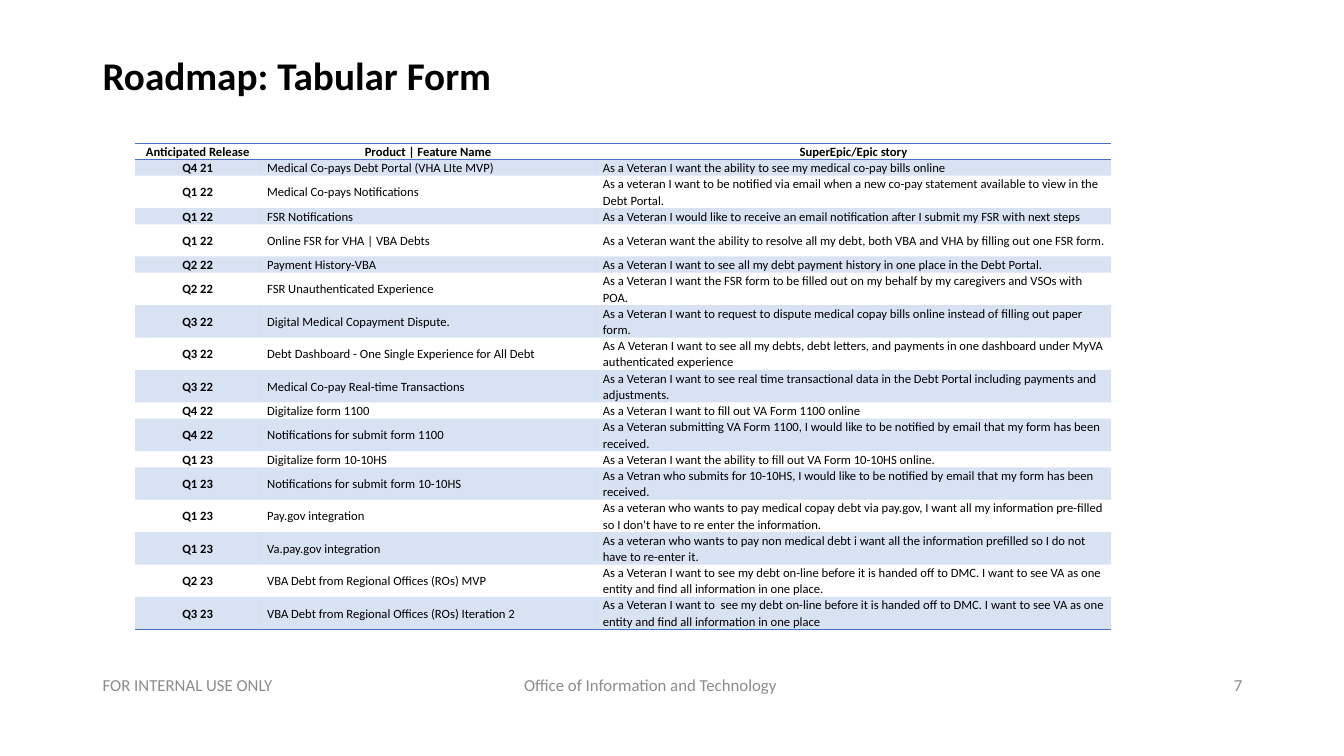
from lxml.etree import SubElement, Element
from pptx import Presentation
from pptx.dml.color import RGBColor
from pptx.enum.text import MSO_ANCHOR, PP_ALIGN
from pptx.oxml.ns import qn
from pptx.util import Inches, Pt

TITLE = "Roadmap: Tabular Form"
FOOTER = "FOR INTERNAL USE ONLY\tOffice of Information and Technology"
PAGE = "7"
HEADINGS = ("Anticipated Release", "Product | Feature Name", "SuperEpic/Epic story")
RELEASES = [
    ("Q4 21", "Medical Co-pays Debt Portal (VHA LIte MVP)",
     "As a Veteran I want the ability to see my medical co-pay bills online"),
    ("Q1 22", "Medical Co-pays Notifications",
     "As a veteran I want to be notified via email when a new co-pay statement available to view in the Debt Portal."),
    ("Q1 22", "FSR Notifications",
     "As a Veteran I would like to receive an email notification after I submit my FSR with next steps"),
    ("Q1 22", "Online FSR for VHA | VBA Debts",
     "As a Veteran want the ability to resolve all my debt, both VBA and VHA by filling out one FSR form."),
    ("Q2 22", "Payment History-VBA",
     "As a Veteran I want to see all my debt payment history in one place in the Debt Portal."),
    ("Q2 22", "FSR Unauthenticated Experience",
     "As a Veteran I want the FSR form to be filled out on my behalf by my caregivers and VSOs with POA."),
    ("Q3 22", "Digital Medical Copayment Dispute.",
     "As a Veteran I want to request to dispute medical copay bills online instead of filling out paper form."),
    ("Q3 22", "Debt Dashboard - One Single Experience for All Debt",
     "As A Veteran I want to see all my debts, debt letters, and payments in one dashboard under MyVA authenticated experience"),
    ("Q3 22", "Medical Co-pay Real-time Transactions",
     "As a Veteran I want to see real time transactional data in the Debt Portal including payments and adjustments."),
    ("Q4 22", "Digitalize form 1100",
     "As a Veteran I want to fill out VA Form 1100 online"),
    ("Q4 22", "Notifications for submit form 1100",
     "As a Veteran submitting VA Form 1100, I would like to be notified by email that my form has been received."),
    ("Q1 23", "Digitalize form 10-10HS",
     "As a Veteran I want the ability to fill out VA Form 10-10HS online."),
    ("Q1 23", "Notifications for submit form 10-10HS",
     "As a Vetran who submits for 10-10HS, I would like to be notified by email that my form has been received."),
    ("Q1 23", "Pay.gov integration",
     "As a veteran who wants to pay medical copay debt via pay.gov, I want all my information pre-filled so I don't have to re enter the information."),
    ("Q1 23", "Va.pay.gov integration",
     "As a veteran who wants to pay non medical debt i want all the information prefilled so I do not have to re-enter it."),
    ("Q2 23", "VBA Debt from Regional Offices (ROs) MVP",
     "As a Veteran I want to see my debt on-line before it is handed off to DMC. I want to see VA as one entity and find all information in one place."),
    ("Q3 23", "VBA Debt from Regional Offices (ROs) Iteration 2",
     "As a Veteran I want to  see my debt on-line before it is handed off to DMC. I want to see VA as one entity and find all information in one place"),
]

THEME = {
    "font": "Calibri", "title": 28, "footer": 12, "table": 9,
    "ink": "000000", "muted": "8C8C8C", "accent": "4472C4",
    "band_alpha": 20, "rule": 1,
}
COLUMNS = (1.24, 3.33, 5.11)
LINE_HEIGHT = 0.16
STORY_LINE_CHARS = 97
FOOTER_TAB = 4.18
NO_GRID_STYLE = "{2D5ABB26-0587-4C30-8999-92F81FD0307C}"


def apply(target, values):
    for name, value in values.items():
        setattr(target, name, value)


def write(paragraph, text, size, color, bold=False, **layout):
    run = paragraph.add_run()
    run.text = text
    apply(paragraph, layout)
    apply(run.font, {"name": THEME["font"], "size": Pt(size), "bold": bold})
    run.font.color.rgb = RGBColor.from_string(color)


def add_text(slide, box, text, size, color, tab=None, **style):
    frame = slide.shapes.add_textbox(*map(Inches, box)).text_frame
    apply(frame, {"word_wrap": True, "vertical_anchor": MSO_ANCHOR.MIDDLE})
    paragraph = frame.paragraphs[0]
    if tab:
        stops = SubElement(paragraph._p.get_or_add_pPr(), qn("a:tabLst"))
        SubElement(stops, qn("a:tab"), pos=str(Inches(tab)), algn="l")
    write(paragraph, text, size, color, **style)


def add_rule(cell, side):
    line = Element(qn("a:" + side), w=str(Pt(THEME["rule"])))
    solid = SubElement(line, qn("a:solidFill"))
    SubElement(solid, qn("a:srgbClr"), val=THEME["accent"])
    cell._tc.get_or_add_tcPr().insert(0, line)


def fill_band(cell):
    cell.fill.solid()
    cell.fill.fore_color.rgb = RGBColor.from_string(THEME["accent"])
    for color in cell._tc.tcPr.iter(qn("a:srgbClr")):
        SubElement(color, qn("a:alpha"), val=str(THEME["band_alpha"] * 1000))


def add_roadmap(slide):
    rows = [HEADINGS, *RELEASES]
    heights = [LINE_HEIGHT * (2 if len(row[2]) > STORY_LINE_CHARS else 1) for row in rows]
    box = (1.34, 1.42, sum(COLUMNS), sum(heights))
    roadmap = slide.shapes.add_table(len(rows), len(COLUMNS), *map(Inches, box)).table
    apply(roadmap, {"first_row": False, "horz_banding": False})
    for style in roadmap._tbl.iter(qn("a:tableStyleId")):
        style.text = NO_GRID_STYLE
    for column, width in zip(roadmap.columns, COLUMNS):
        column.width = Inches(width)
    for r, (row, height) in enumerate(zip(rows, heights)):
        roadmap.rows[r].height = Inches(height)
        for c, text in enumerate(row):
            cell = roadmap.cell(r, c)
            apply(cell, {
                "margin_left": Inches(0.07), "margin_right": Inches(0.07),
                "margin_top": 0, "margin_bottom": 0,
                "vertical_anchor": MSO_ANCHOR.MIDDLE,
            })
            key = r == 0 or c == 0
            write(cell.text_frame.paragraphs[0], text, THEME["table"], THEME["ink"], key,
                  alignment=PP_ALIGN.CENTER if key else PP_ALIGN.LEFT,
                  line_spacing=1.07, space_after=Pt(3))
            if r % 2:
                fill_band(cell)
            else:
                cell.fill.background()
            if r in (0, len(rows) - 1):
                add_rule(cell, "lnB")
            if r == 0:
                add_rule(cell, "lnT")


def main():
    deck = Presentation()
    apply(deck, {"slide_width": Inches(13.33), "slide_height": Inches(7.5)})
    slide = deck.slides.add_slide(deck.slide_layouts[6])
    add_text(slide, (0.92, 0.4, 11.5, 0.75), TITLE, THEME["title"], THEME["ink"],
             bold=True, line_spacing=0.9)
    add_text(slide, (9.42, 6.59, 3, 0.4), PAGE, THEME["footer"], THEME["muted"],
             alignment=PP_ALIGN.RIGHT)
    add_text(slide, (0.92, 6.59, 8, 0.4), FOOTER, THEME["footer"], THEME["muted"],
             tab=FOOTER_TAB)
    add_roadmap(slide)
    deck.save("out.pptx")


if __name__ == "__main__":
    main()
